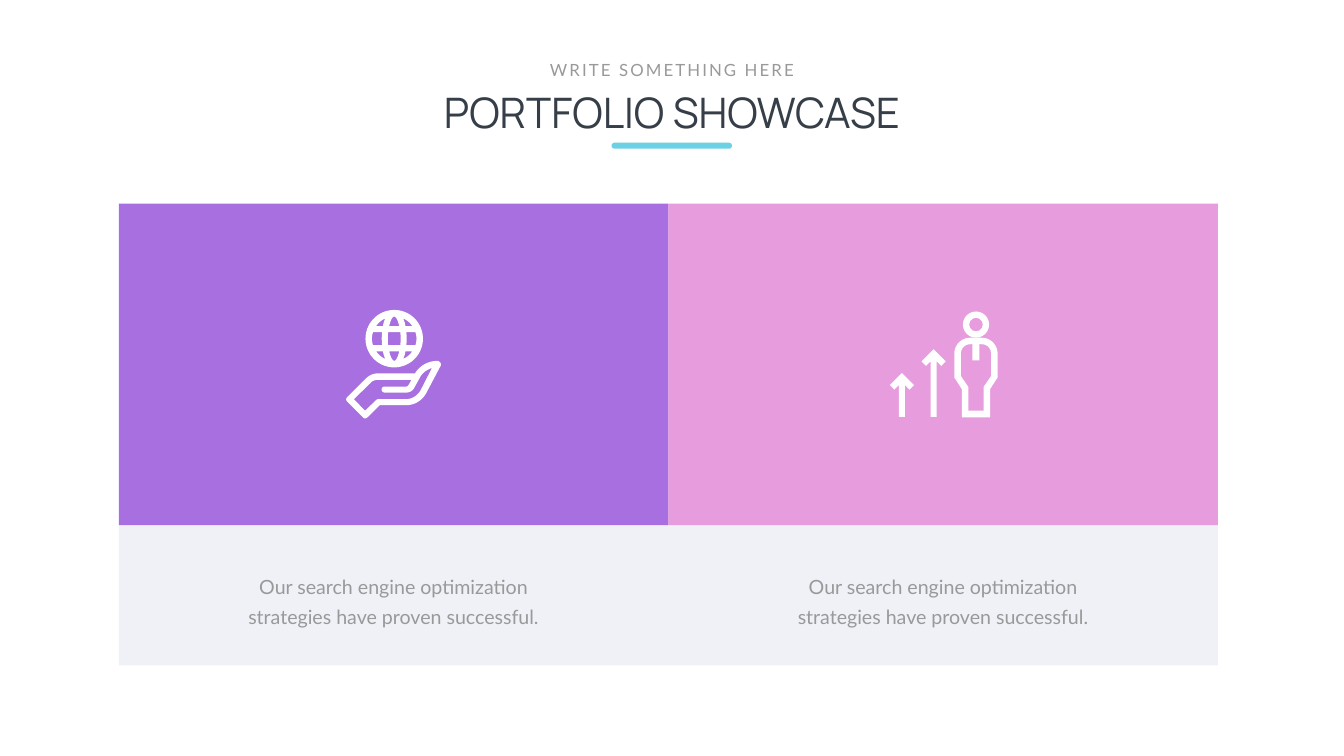
import math

from lxml import etree
from pptx import Presentation
from pptx import util as u
from pptx.dml.color import RGBColor
from pptx.enum import shapes, text
from pptx.oxml.ns import qn

COLOURS = {
    "title": "363E48",
    "muted": "999999",
    "accent": "6CD1E5",
    "band": "EFF1F7",
    "purple": "914BD7",
    "pink": "E184D6",
    "icon": "FFFFFF",
}


def flatten(segments, steps=10):
    points = [segments[0]]
    for segment in segments[1:]:
        if len(segment) == 2:
            points.append(segment)
            continue
        x0, y0 = points[-1]
        x1, y1, x2, y2, x3, y3 = segment
        for step in range(1, steps + 1):
            t = step / steps
            s = 1 - t
            points.append((
                s**3 * x0 + 3 * s * s * t * x1 + 3 * s * t * t * x2 + t**3 * x3,
                s**3 * y0 + 3 * s * s * t * y1 + 3 * s * t * t * y2 + t**3 * y3,
            ))
    return points


def scaled(points, sx, sy):
    return [(x * sx, y * sy) for x, y in points]


def symmetric(half):
    points = flatten(half)
    return points + scaled(points, -1, 1)[::-1]


class SlideBuilder:
    def __init__(self, slide):
        self.slide = slide

    def paint(self, shape, colour, alpha=None):
        shape.shadow.inherit = False
        shape.fill.solid()
        shape.fill.fore_color.rgb = RGBColor.from_string(COLOURS[colour])
        shape.line.fill.background()
        if alpha is not None:
            fill = shape._element.spPr.find(qn("a:solidFill"))
            etree.SubElement(fill[0], qn("a:alpha"), val=str(alpha * 1000))

    def shape(self, kind, left, top, width, height, colour, alpha=None, adjust=None):
        shape = self.slide.shapes.add_shape(
            kind, u.Inches(left), u.Inches(top), u.Inches(width), u.Inches(height))
        if adjust is not None:
            shape.adjustments[0] = adjust
        self.paint(shape, colour, alpha)

    def text(self, words, left, top, width, height, font, size, colour,
             wrap=True, inset=(0.1, 0.05), line=None, spacing=None):
        box = self.slide.shapes.add_textbox(
            u.Inches(left), u.Inches(top), u.Inches(width), u.Inches(height))
        frame = box.text_frame
        frame.word_wrap = wrap
        frame.auto_size = text.MSO_AUTO_SIZE.SHAPE_TO_FIT_TEXT
        frame.margin_left = frame.margin_right = u.Inches(inset[0])
        frame.margin_top = frame.margin_bottom = u.Inches(inset[1])
        paragraph = frame.paragraphs[0]
        paragraph.alignment = text.PP_ALIGN.CENTER
        if line:
            paragraph.line_spacing = u.Pt(line)
        run = paragraph.add_run()
        run.text = words
        if spacing:
            run._r.get_or_add_rPr().set("spc", str(spacing * 100))
        paragraph.font.name = font
        paragraph.font.size = u.Pt(size)
        paragraph.font.color.rgb = RGBColor.from_string(COLOURS[colour])

    def outline(self, contours, x=0, y=0):
        placed = [[(u.Inches(x + px), u.Inches(y + py)) for px, py in contour]
                  for contour in contours]
        builder = self.slide.shapes.build_freeform(*placed[0][0])
        builder.add_line_segments(placed[0][1:])
        for contour in placed[1:]:
            builder.move_to(*contour[0])
            builder.add_line_segments(contour[1:])
        self.paint(builder.convert_to_shape(), "icon")

    def globe(self, x, y, radius=0.57):
        rim = [(radius * math.cos(math.tau * i / 72), radius * math.sin(math.tau * i / 72))
               for i in range(72)]
        corner = flatten([(0.36, -0.25), (0.22, -0.25), (0.22, -0.3, 0.2, -0.34, 0.18, -0.4),
                          (0.25, -0.37, 0.31, -0.32, 0.36, -0.25)])
        cap = symmetric([(0.1, -0.25), (0.08, -0.33, 0.05, -0.43, 0, -0.44)])
        side = flatten([(0.42, -0.13), (0.24, -0.13), (0.25, -0.04, 0.25, 0.04, 0.24, 0.13),
                        (0.42, 0.13), (0.45, 0.04, 0.45, -0.04, 0.42, -0.13)])
        middle = symmetric([(0.12, -0.13), (0.13, -0.04, 0.13, 0.04, 0.12, 0.13)])
        corners = [scaled(corner, sx, sy) for sx in (1, -1) for sy in (1, -1)]
        caps = [scaled(cap, 1, sy) for sy in (1, -1)]
        sides = [scaled(side, sx, 1) for sx in (1, -1)]
        self.outline([rim, middle, *corners, *caps, *sides], x, y)

    def hand(self, x, y):
        outer = flatten([
            (1.86, 0.03), (1.85, 0.02, 1.83, 0, 1.81, 0), (1.62, 0, 1.45, 0.1, 1.36, 0.25),
            (0.61, 0.25), (0.53, 0.25, 0.45, 0.29, 0.39, 0.35), (0.02, 0.72),
            (-0.01, 0.74, -0.01, 0.79, 0.02, 0.81), (0.33, 1.12),
            (0.35, 1.15, 0.39, 1.15, 0.42, 1.12), (0.66, 0.88), (1.19, 0.88),
            (1.35, 0.88, 1.5, 0.79, 1.58, 0.65), (1.87, 0.1),
            (1.88, 0.08, 1.88, 0.05, 1.86, 0.03)])
        inner = flatten([
            (1.47, 0.59), (1.41, 0.69, 1.3, 0.76, 1.19, 0.76), (0.63, 0.76),
            (0.62, 0.76, 0.6, 0.77, 0.59, 0.78), (0.37, 0.99), (0.15, 0.76), (0.48, 0.44),
            (0.51, 0.4, 0.56, 0.38, 0.61, 0.38), (1.29, 0.38), (1.24, 0.47),
            (1.23, 0.49, 1.21, 0.51, 1.19, 0.51), (0.76, 0.51),
            (0.68, 0.51, 0.68, 0.63, 0.76, 0.63), (1.19, 0.63),
            (1.26, 0.63, 1.32, 0.59, 1.35, 0.53), (1.45, 0.35),
            (1.5, 0.24, 1.59, 0.18, 1.7, 0.14)])
        self.outline([outer, inner], x, y)

    def person(self, x, y):
        outer = symmetric([(0.11, 0), (0.29, 0, 0.43, 0.14, 0.43, 0.32), (0.43, 0.79),
                           (0.28, 1.02), (0.28, 1.58)])
        inner = symmetric([(0.07, 0.45), (0.07, 0.13), (0.11, 0.13),
                           (0.22, 0.13, 0.3, 0.21, 0.3, 0.32), (0.3, 0.76),
                           (0.15, 0.98), (0.15, 1.45)])
        self.outline([outer, inner], x, y)
        self.shape(shapes.MSO_SHAPE.DONUT, x - 0.26, y - 0.52, 0.52, 0.52, "icon", adjust=0.24)

    def arrow(self, x, y, height):
        half = [(0, 0), (0.24, 0.24), (0.15, 0.33), (0.06, 0.24), (0.06, height)]
        self.outline([symmetric(half)], x, y)


def main():
    presentation = Presentation()
    presentation.slide_width = u.Inches(26.66)
    presentation.slide_height = u.Inches(15)
    builder = SlideBuilder(presentation.slides.add_slide(presentation.slide_layouts[6]))

    builder.text("PORTFOLIO SHOWCASE", 5.3, 1.67, 16.06, 1.11, "Manrope", 60, "title")
    builder.text("WRITE SOMETHING HERE", 10.76, 1.13, 5.14, 0.5, "Lato", 24, "muted",
                 wrap=False, spacing=3)
    builder.shape(shapes.MSO_SHAPE.ROUNDED_RECTANGLE, 12.13, 2.83, 2.39, 0.12, "accent",
                  adjust=0.5)

    left, panel_width = 2.36, 10.9
    builder.shape(shapes.MSO_SHAPE.RECTANGLE, left, 10.42, 2 * panel_width, 2.78, "band")
    for column, colour in enumerate(("purple", "pink")):
        panel_left = left + column * panel_width
        builder.shape(shapes.MSO_SHAPE.RECTANGLE, panel_left, 4.04, panel_width, 6.38,
                      colour, alpha=80)
        builder.text("Our search engine optimization strategies have proven successful.",
                     panel_left + 2.28, 11.16, 6.33, 1.39, "Lato", 28, "muted",
                     inset=(0.24, 0.12), line=43)

    builder.person(19.36, 6.7)
    builder.arrow(18.52, 6.93, 1.34)
    builder.arrow(17.89, 7.4, 0.87)
    builder.hand(6.87, 7.16)
    builder.globe(7.82, 6.72)

    presentation.save("out.pptx")


if __name__ == "__main__":
    main()
